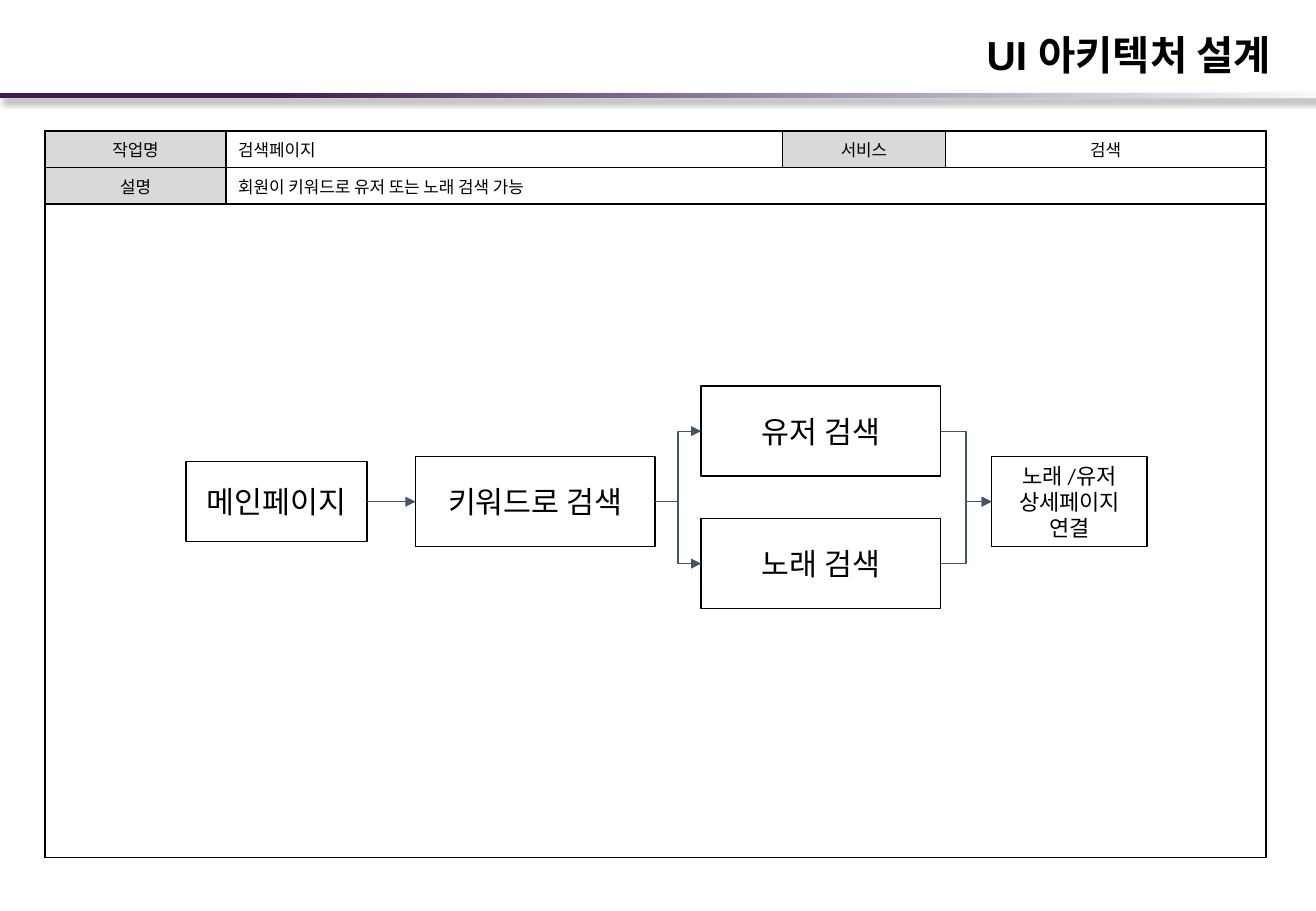
from lxml import etree
from pptx import Presentation
from pptx.dml.color import RGBColor
from pptx.enum.shapes import MSO_CONNECTOR, MSO_SHAPE
from pptx.enum.text import MSO_ANCHOR, MSO_AUTO_SIZE, PP_ALIGN
from pptx.oxml import parse_xml
from pptx.oxml.ns import nsdecls, qn
from pptx.util import Inches, Pt

RECTANGLE = MSO_SHAPE.RECTANGLE
STRAIGHT, ELBOW = MSO_CONNECTOR.STRAIGHT, MSO_CONNECTOR.ELBOW
LEFT, CENTER, RIGHT = PP_ALIGN.LEFT, PP_ALIGN.CENTER, PP_ALIGN.RIGHT
MIDDLE = MSO_ANCHOR.MIDDLE
NO_AUTOFIT = MSO_AUTO_SIZE.NONE
LEFT_SIDE, RIGHT_SIDE = 1, 3
TITLE_ONLY = 5

COLORS = {
    "ink": "000000",
    "label": "D9D9D9",
    "arrow": "44546A",
    "bar_dark": "3D1C52",
    "bar_light": "F6F9FC",
}


def color(key):
    return RGBColor.from_string(COLORS[key])


class FlowSlide:
    """Holds the slide and the style of its table and flow diagram."""

    def __init__(self, presentation):
        self.slide = presentation.slides.add_slide(presentation.slide_layouts[TITLE_ONLY])
        self.shapes = self.slide.shapes

    def set_text(self, frame, text, size, font, align, bold=False):
        frame.text = text
        paragraph = frame.paragraphs[0]
        paragraph.alignment = align
        for run in paragraph.runs:
            run.font.size = Pt(size)
            run.font.name = font
            run.font.bold = bold
            run.font.color.rgb = color("ink")

    def title(self, text, left, top, width, height):
        heading = self.shapes.title
        heading.left, heading.top = Inches(left), Inches(top)
        heading.width, heading.height = Inches(width), Inches(height)
        frame = heading.text_frame
        frame.auto_size = NO_AUTOFIT
        frame.vertical_anchor = MIDDLE
        self.set_text(frame, text, 24, "Arial", RIGHT, bold=True)
        frame.paragraphs[0].line_spacing = 1.05

    def gradient_bar(self, left, top, width, height):
        bar = self.shapes.add_shape(
            RECTANGLE, Inches(left), Inches(top), Inches(width), Inches(height))
        bar.line.fill.background()
        bar.fill.gradient()
        bar.fill.gradient_angle = 0
        stops = zip(bar.fill.gradient_stops, (("bar_dark", 0.2), ("bar_light", 1)))
        for stop, (key, position) in stops:
            stop.color.rgb = color(key)
            stop.position = position
        bar.shadow.inherit = False
        effects = bar._element.spPr.find(qn("a:effectLst"))
        effects.append(parse_xml(
            f'<a:outerShdw {nsdecls("a")} blurRad="{Pt(4)}" dist="{Pt(3)}" dir="2700000">'
            f'<a:srgbClr val="{COLORS["ink"]}"><a:alpha val="40000"/></a:srgbClr>'
            '</a:outerShdw>'))

    def table(self, left, top, columns, rows, merges, entries):
        grid = self.shapes.add_table(
            len(rows), len(columns), Inches(left), Inches(top),
            Inches(sum(columns)), Inches(sum(rows))).table
        grid.first_row = grid.horz_banding = False
        for column, width in zip(grid.columns, columns):
            column.width = Inches(width)
        for row, height in zip(grid.rows, rows):
            row.height = Inches(height)
        for cell in grid.iter_cells():
            self.border(cell)
            cell.fill.background()
        for start, end in merges:
            grid.cell(*start).merge(grid.cell(*end))
        for row, column, text, align, is_label in entries:
            cell = grid.cell(row, column)
            cell.vertical_anchor = MIDDLE
            self.set_text(cell.text_frame, text, 10, "Arial", align)
            if is_label:
                cell.fill.solid()
                cell.fill.fore_color.rgb = color("label")

    def border(self, cell):
        properties = cell._tc.get_or_add_tcPr()
        for side in ("lnL", "lnR", "lnT", "lnB"):
            properties.append(parse_xml(
                f'<a:{side} {nsdecls("a")} w="{Pt(1)}"><a:solidFill>'
                f'<a:srgbClr val="{COLORS["ink"]}"/></a:solidFill></a:{side}>'))

    def step(self, text, left, top, width, height, size=18):
        box = self.shapes.add_shape(
            RECTANGLE, Inches(left), Inches(top), Inches(width), Inches(height))
        box.shadow.inherit = False
        box.fill.background()
        box.line.color.rgb = color("ink")
        box.line.width = Pt(1)
        box.text_frame.word_wrap = True
        box.text_frame.vertical_anchor = MIDDLE
        self.set_text(box.text_frame, text, size, "Calibri", CENTER)
        return box

    def arrow(self, source, target, kind=ELBOW):
        link = self.shapes.add_connector(kind, 0, 0, 0, 0)
        link.begin_connect(source, RIGHT_SIDE)
        link.end_connect(target, LEFT_SIDE)
        link.line.color.rgb = color("arrow")
        link.line.width = Pt(0.75)
        etree.SubElement(link.line._get_or_add_ln(), qn("a:tailEnd"), type="triangle")
        etree.SubElement(link._element.spPr, qn("a:effectLst"))


def main():
    presentation = Presentation()
    presentation.slide_width = Inches(10.83)
    presentation.slide_height = Inches(7.5)

    page = FlowSlide(presentation)
    page.gradient_bar(0, 0.77, 10.83, 0.04)
    page.title("UI 아키텍처 설계", 4.27, 0.2, 6.29, 0.47)
    page.table(
        0.37, 1.08, (1.49, 4.58, 1.34, 2.64), (0.3, 0.3, 5.38),
        merges=(((1, 1), (1, 3)), ((2, 0), (2, 3))),
        entries=(
            (0, 0, "작업명", CENTER, True),
            (0, 1, "검색페이지", LEFT, False),
            (0, 2, "서비스", CENTER, True),
            (0, 3, "검색", CENTER, False),
            (1, 0, "설명", CENTER, True),
            (1, 1, "회원이 키워드로 유저 또는 노래 검색 가능", LEFT, False),
        ))

    main_page = page.step("메인페이지", 1.53, 3.8, 1.49, 0.66)
    keyword_search = page.step("키워드로 검색", 3.42, 3.76, 1.97, 0.74)
    user_search = page.step("유저 검색", 5.77, 3.18, 1.97, 0.74)
    detail_page = page.step("노래 /유저 상세페이지 연결", 8.16, 3.76, 1.28, 0.74, size=13)
    song_search = page.step("노래 검색", 5.77, 4.27, 1.97, 0.74)

    page.arrow(main_page, keyword_search, STRAIGHT)
    for search in (user_search, song_search):
        page.arrow(keyword_search, search)
        page.arrow(search, detail_page)

    presentation.save("out.pptx")


if __name__ == "__main__":
    main()
